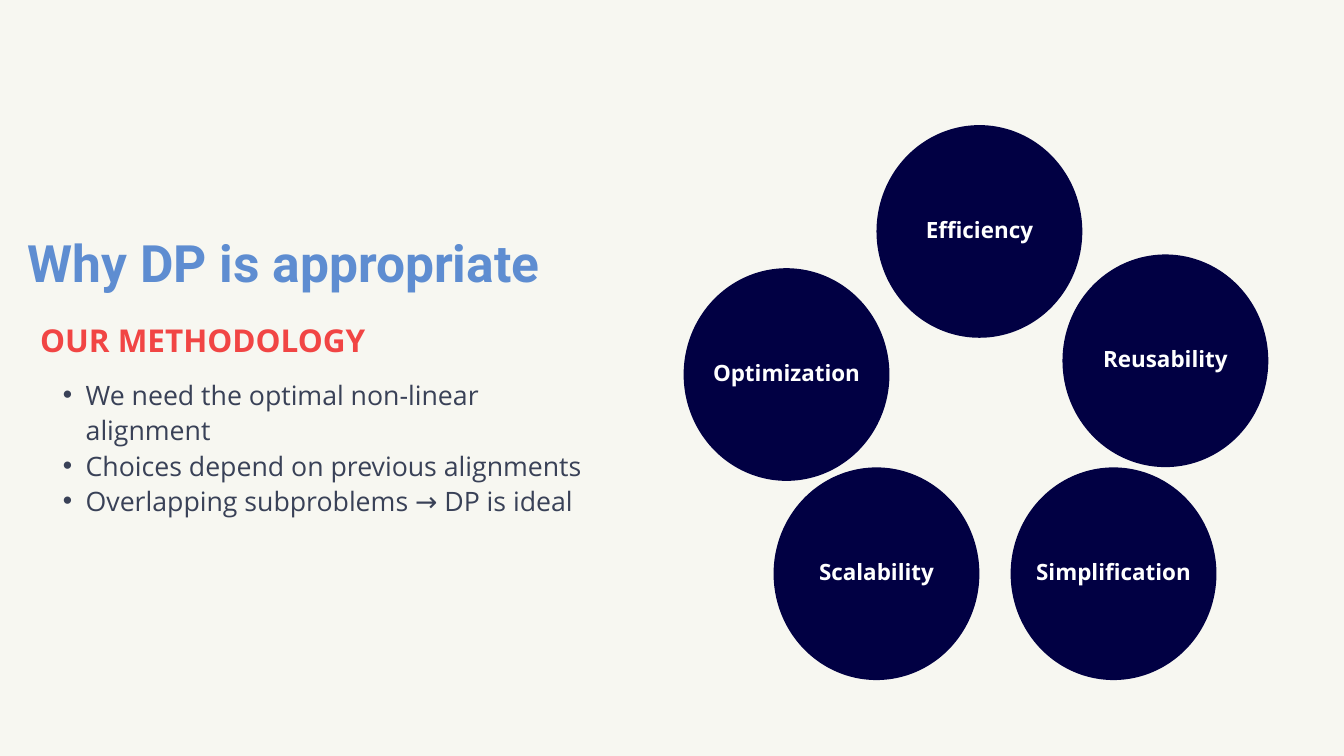
from lxml import etree
from pptx import Presentation
from pptx.dml.color import RGBColor
from pptx.enum import shapes, text
from pptx.oxml.ns import qn
from pptx.util import Cm, Pt

# Content
TITLE = "Why DP is appropriate"
SUBTITLE = "OUR METHODOLOGY"
REASONS = [
    "We need the optimal non-linear alignment",
    "Choices depend on previous alignments",
    "Overlapping subproblems → DP is ideal",
]
# Each benefit with the left and top of its circle, in cm
BENEFITS = [
    ("Optimization", 25.84, 10.14),
    ("Efficiency", 33.13, 4.73),
    ("Reusability", 40.16, 9.62),
    ("Simplification", 38.2, 17.67),
    ("Scalability", 29.24, 17.67),
]
CIRCLE_WIDTH, CIRCLE_HEIGHT = 7.78, 8.04
LABEL_RAISE = 0.33  # bottom inset that lifts a label above the centre

# Each style: font, size, line spacing, colour, bold
THEME = {
    "background": "F7F7F1",
    "circle": "010043",
    "title": ("Roboto", 55.2, 65.1, "5E8DD1", True),
    "subtitle": ("Open Sans", 33.7, 47.1, "F14544", True),
    "body": ("Open Sans", 28.6, 37.8, "394157", False),
    "label": ("Open Sans", 24, 33.6, "FFFFFF", True),
}


def colour(name):
    return RGBColor.from_string(THEME[name])


def style_paragraph(paragraph, style, align=text.PP_ALIGN.LEFT):
    font_name, size, spacing, rgb, bold = THEME[style]
    paragraph.alignment = align
    paragraph.line_spacing = Pt(spacing)
    paragraph.space_before = Pt(0)
    for run in paragraph.runs:
        run.font.name = font_name
        run.font.size = Pt(size)
        run.font.bold = bold
        run.font.color.rgb = RGBColor.from_string(rgb)


def add_bullet(paragraph, indent=0.86):
    properties = paragraph._p.get_or_add_pPr()
    properties.set("marL", str(Cm(2 * indent)))
    properties.set("indent", str(-Cm(indent)))
    etree.SubElement(properties, qn("a:buFont")).set("typeface", "Arial")
    etree.SubElement(properties, qn("a:buChar")).set("char", "•")


def fill_text(shape, lines, style, bullets=False):
    frame = shape.text_frame
    frame.text = "\n".join(lines)
    frame.word_wrap = True
    frame.auto_size = text.MSO_AUTO_SIZE.NONE
    frame.vertical_anchor = text.MSO_ANCHOR.TOP
    frame.margin_left = frame.margin_right = 0
    frame.margin_top = frame.margin_bottom = 0
    for paragraph in frame.paragraphs:
        if bullets:
            add_bullet(paragraph)
        style_paragraph(paragraph, style)


def add_benefit(slide, label, left, top):
    circle = slide.shapes.add_shape(
        shapes.MSO_SHAPE.OVAL,
        Cm(left), Cm(top), Cm(CIRCLE_WIDTH), Cm(CIRCLE_HEIGHT),
    )
    circle.shadow.inherit = False
    circle.fill.solid()
    circle.fill.fore_color.rgb = colour("circle")
    circle.line.fill.background()
    frame = circle.text_frame
    frame.text = label
    frame.word_wrap = False
    frame.vertical_anchor = text.MSO_ANCHOR.MIDDLE
    frame.margin_left = frame.margin_right = frame.margin_top = 0
    frame.margin_bottom = Cm(LABEL_RAISE)
    style_paragraph(frame.paragraphs[0], "label", text.PP_ALIGN.CENTER)


def main():
    presentation = Presentation()
    presentation.slide_width, presentation.slide_height = Cm(50.8), Cm(28.58)
    slide = presentation.slides.add_slide(presentation.slide_layouts[5])
    slide.background.fill.solid()
    slide.background.fill.fore_color.rgb = colour("background")

    # Title
    title = slide.shapes.title
    title.left, title.top = Cm(1.04), Cm(8.76)
    title.width, title.height = Cm(23.42), Cm(2.54)
    fill_text(title, [TITLE], "title")

    # Subtitle and reasons
    subtitle = slide.shapes.add_textbox(Cm(1.52), Cm(11.89), Cm(19.74), Cm(1.63))
    fill_text(subtitle, [SUBTITLE], "subtitle")
    reasons = slide.shapes.add_textbox(Cm(1.52), Cm(14.2), Cm(20.55), Cm(7.92))
    fill_text(reasons, REASONS, "body", bullets=True)

    # Ring of benefits
    for label, left, top in BENEFITS:
        add_benefit(slide, label, left, top)

    presentation.save("out.pptx")


if __name__ == "__main__":
    main()
